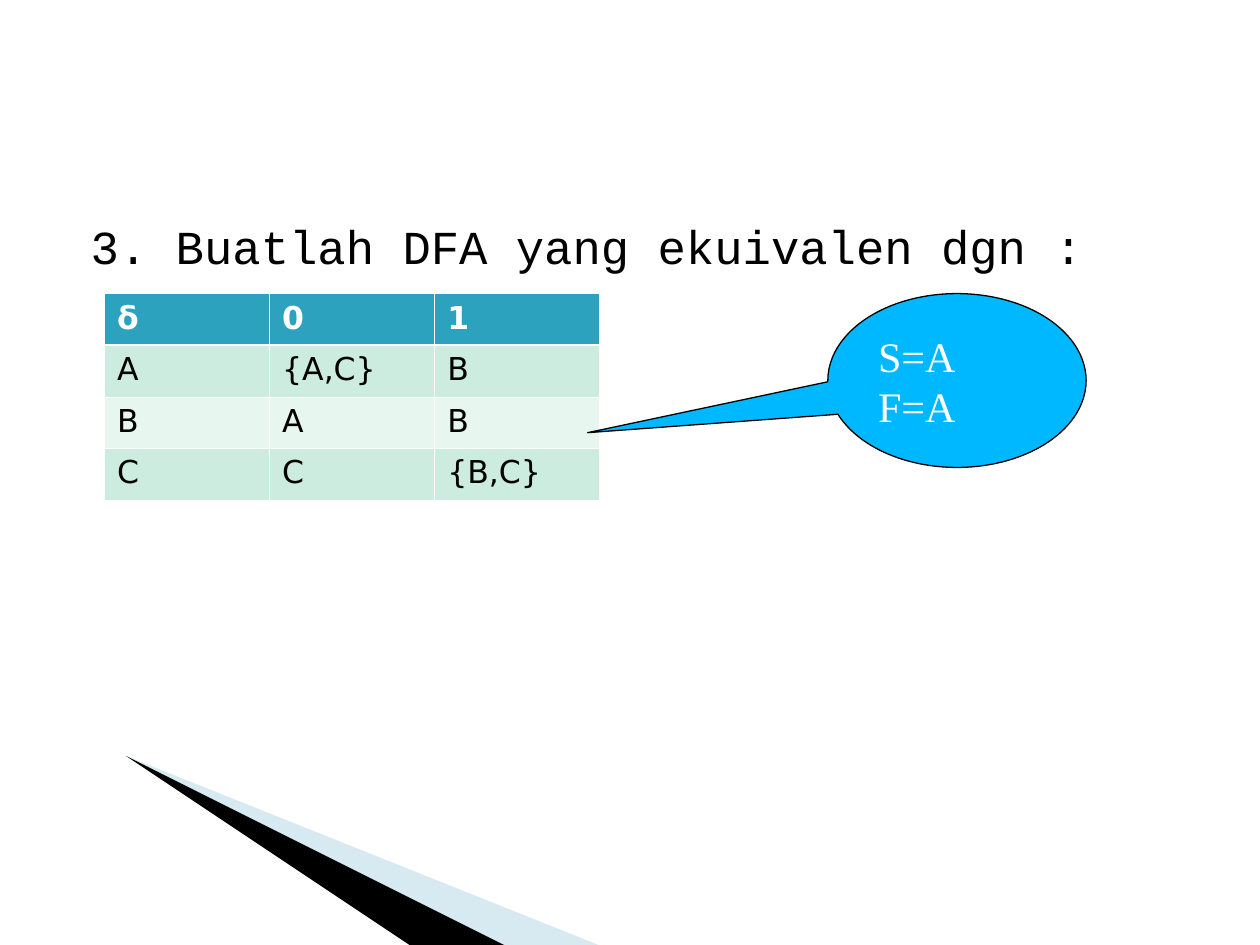
from pptx import Presentation
from pptx.dml.color import RGBColor
from pptx.enum.shapes import MSO_SHAPE
from pptx.enum.text import MSO_ANCHOR as Anchor, MSO_AUTO_SIZE as AutoSize, PP_ALIGN as Align
from pptx.oxml.ns import qn
from pptx.util import Inches, Pt
from lxml.etree import SubElement

# Content
QUESTION = "3. Buatlah DFA yang ekuivalen dgn :"
TRANSITIONS = [
    ("δ", "0", "1"),
    ("A", "{A,C}", "B"),
    ("B", "A", "B"),
    ("C", "C", "{B,C}"),
]
STATES = ["S=A", "F=A"]  # start and final state
# Corner wedges: points, colour name, opacity in percent
WEDGES = [
    ([(0.55, 6.5), (5.95, 7.51), (4.56, 7.51)], "pale", 40),
    ([(0.53, 6.49), (4.57, 7.51), (3.72, 7.52)], "ink", 100),
]

THEME = {
    "ink": "000000", "paper": "FFFFFF", "pale": "9FCBDC",
    "header": "2DA2BF", "bands": ("CBECDE", "E7F6EF"), "callout": "00B8FF",
    "question": ("Courier New", 27),
    "table": ("DejaVu Sans", 18),
    "states": ("Times New Roman", 24),
}
COLUMN_WIDTH, ROW_HEIGHT = 1.31, 0.41


def rgb(value):
    return RGBColor.from_string(value)


def style(paragraph, role, color, bold=False):
    family, size = THEME[role]
    paragraph.alignment = Align.LEFT
    font = paragraph.font
    font.name, font.size, font.bold = family, Pt(size), bold
    font.color.rgb = rgb(color)


def add_border(cell, side, points):
    line = SubElement(cell._tc.get_or_add_tcPr(), qn(f"a:ln{side}"), w=str(Pt(points)))
    fill = SubElement(line, qn("a:solidFill"))
    SubElement(fill, qn("a:srgbClr"), val=THEME["paper"])


prs = Presentation()
prs.slide_width, prs.slide_height = Inches(10), Inches(7.5)
slide = prs.slides.add_slide(prs.slide_layouts[1])
shapes = slide.shapes
title = shapes.title
title.element.getparent().remove(title.element)

# Corner wedges
for points, color, opacity in WEDGES:
    builder = shapes.build_freeform(*points[0], scale=Inches(1))
    builder.add_line_segments(points[1:], close=True)
    wedge = builder.convert_to_shape()
    wedge.shadow.inherit = False
    wedge.fill.solid()
    wedge.fill.fore_color.rgb = rgb(THEME[color])
    wedge.line.fill.background()
    if opacity < 100:
        tint = wedge.element.spPr.find(qn("a:solidFill"))[0]
        SubElement(tint, qn("a:alpha"), val=str(opacity * 1000))

# Question
question = slide.placeholders[1]
question.left, question.top = Inches(0.5), Inches(1.62)
question.width, question.height = Inches(9), Inches(4.95)
frame = question.text_frame
frame.auto_size = AutoSize.NONE
frame.margin_top = Inches(0.1)
frame.text = QUESTION
paragraph = frame.paragraphs[0]
paragraph.space_before = Pt(0)
properties = paragraph._p.get_or_add_pPr()
properties.set("marL", str(Inches(0.12)))
properties.set("indent", "0")
SubElement(properties, qn("a:buNone"))
style(paragraph, "question", THEME["ink"])

# Transition table
row_count, column_count = len(TRANSITIONS), len(TRANSITIONS[0])
table = shapes.add_table(
    row_count, column_count, Inches(0.83), Inches(2.33),
    Inches(COLUMN_WIDTH * column_count), Inches(ROW_HEIGHT * row_count)).table
for column in table.columns:
    column.width = Inches(COLUMN_WIDTH)
for r, values in enumerate(TRANSITIONS):
    table.rows[r].height = Inches(ROW_HEIGHT)
    is_header = r == 0
    background = THEME["header"] if is_header else THEME["bands"][(r - 1) % 2]
    for c, value in enumerate(values):
        cell = table.cell(r, c)
        cell.text = value
        style(cell.text_frame.paragraphs[0], "table",
              THEME["paper" if is_header else "ink"], bold=is_header)
        for side in "LRTB":
            under_header = (r, side) in ((0, "B"), (1, "T"))
            add_border(cell, side, 1.47 if under_header else 0.45)
        cell.fill.solid()
        cell.fill.fore_color.rgb = rgb(background)

# Start and final state callout
callout = shapes.add_shape(MSO_SHAPE.OVAL_CALLOUT, Inches(6.57), Inches(2.33),
                           Inches(2.05), Inches(1.38))
callout.adjustments[0], callout.adjustments[1] = -1.43, 0.3
callout.shadow.inherit = False
callout.fill.solid()
callout.fill.fore_color.rgb = rgb(THEME["callout"])
callout.line.color.rgb = rgb(THEME["ink"])
callout.line.width = Pt(0.75)
frame = callout.text_frame
frame.word_wrap = True
frame.vertical_anchor = Anchor.MIDDLE
frame.text = "\n".join(STATES)
for paragraph in frame.paragraphs:
    style(paragraph, "states", THEME["paper"])

prs.save("out.pptx")
